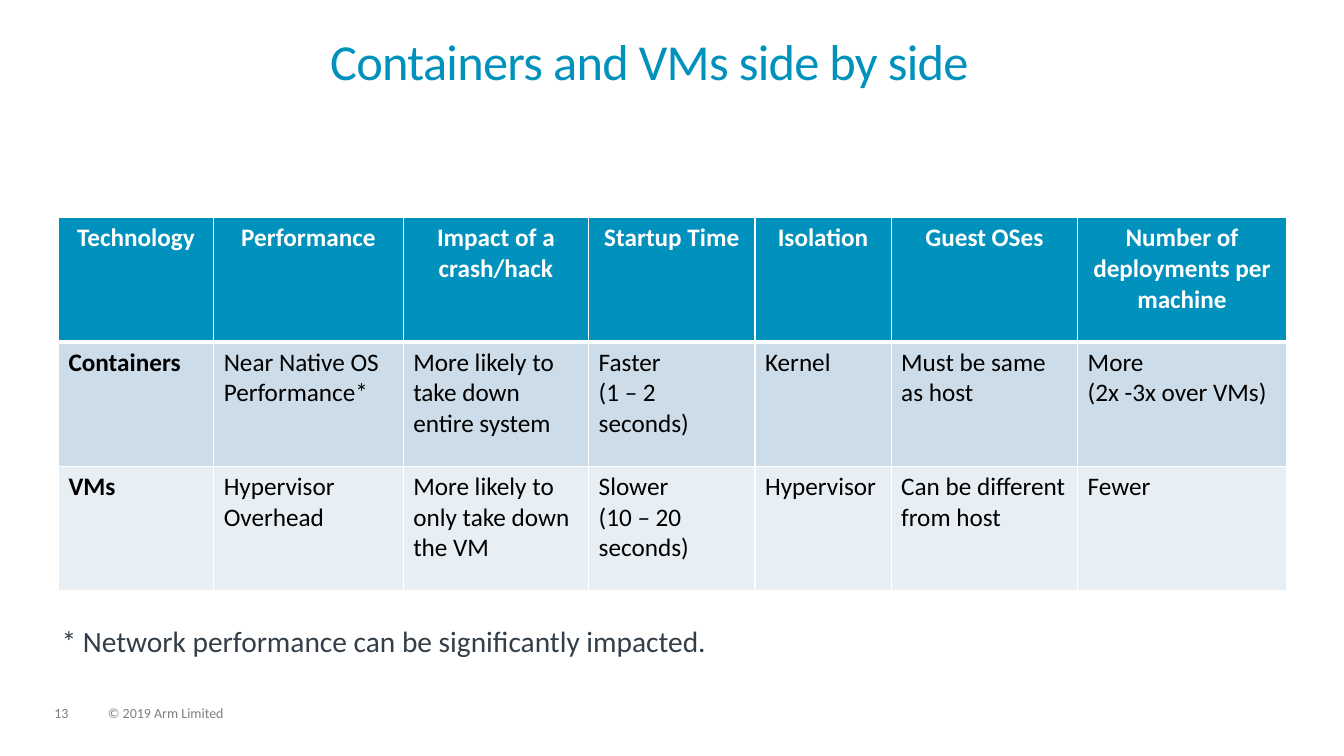
from dataclasses import dataclass

from lxml.etree import SubElement
from pptx import Presentation
from pptx.dml.color import RGBColor as Rgb
from pptx.enum.text import MSO_ANCHOR as Anchor, MSO_AUTO_SIZE as Fit, PP_ALIGN as Align
from pptx.oxml.ns import qn
from pptx.util import Inches, Pt

WIDE, HIGH = Inches(13.33), Inches(7.5)
FACE = "Calibri"
HUES = {
    "blue": "0091BD",
    "white": "FFFFFF",
    "black": "000000",
    "grey": "7F7F7F",
    "slate": "333E48",
    "band": "CCDCE8",
    "pale": "E7EEF4",
}
COLS = [11.55, 14.1, 13.8, 12.38, 10.13, 13.88, 15.53]
ROW = 16.45
CELLS = [
    ["Technology", "Performance", "Impact of a crash/hack", "Startup Time",
     "Isolation", "Guest OSes", "Number of deployments per machine"],
    ["Containers", "Near Native OS Performance*",
     "More likely to take down entire system", "Faster\n(1 – 2 seconds)",
     "Kernel", "Must be same as host", "More\n(2x -3x over VMs)"],
    ["VMs", "Hypervisor Overhead", "More likely to only take down the VM",
     "Slower\n(10 – 20 seconds)", "Hypervisor", "Can be different from host", "Fewer"],
]
FILLS = ["blue", "band", "pale"]


@dataclass
class Box:
    left: float
    top: float
    width: float
    height: float

    def place(self) -> tuple[int, int, int, int]:
        return (across(self.left), down(self.top), across(self.width), down(self.height))


@dataclass
class Label:
    text: str
    box: Box
    size: float
    hue: str
    wrap: bool = True


TITLE = Label("Containers and VMs side by side", Box(6.75, 5.2, 83.12, 8.13), 36, "blue")
LABELS = [
    Label("13", Box(4.05, 93.47, 2.55, 2), 10, "grey"),
    Label("© 2019 Arm Limited", Box(8.03, 93.47, 12.83, 2), 10, "grey"),
    Label("* Network performance can be significantly impacted.",
          Box(4.58, 82.93, 48.91, 4.27), 21, "slate", False),
]
GRID = Box(4.35, 28.8, sum(COLS), ROW * len(CELLS))


def across(share: float) -> int:
    return round(WIDE * share / 100)


def down(share: float) -> int:
    return round(HIGH * share / 100)


def add_run(para, text: str, size: float, hue: str, bold: bool = False):
    run = para.add_run()
    run.text = text
    font = run.font
    font.name, font.size, font.bold = FACE, Pt(size), bold
    font.color.rgb = Rgb.from_string(HUES[hue])
    return run


def set_frame(frame, wrap: bool, fit: Fit) -> None:
    frame.margin_left = frame.margin_right = frame.margin_top = frame.margin_bottom = 0
    frame.vertical_anchor = Anchor.TOP
    frame.word_wrap = wrap
    frame.auto_size = fit


def draw_title(slide) -> None:
    shape = slide.shapes.title
    shape.left, shape.top, shape.width, shape.height = TITLE.box.place()
    set_frame(shape.text_frame, True, Fit.NONE)
    para = shape.text_frame.paragraphs[0]
    para.alignment, para.line_spacing = Align.CENTER, 0.85
    run = add_run(para, TITLE.text, TITLE.size, TITLE.hue)
    run.font._element.set("spc", "-50")


def draw_label(slide, label: Label) -> None:
    frame = slide.shapes.add_textbox(*label.box.place()).text_frame
    set_frame(frame, label.wrap, Fit.SHAPE_TO_FIT_TEXT)
    para = frame.paragraphs[0]
    para.line_spacing, para.space_after = 0.9, Pt(6)
    add_run(para, label.text, label.size, label.hue)


def add_edges(cell, top: float, base: float) -> None:
    props = cell._tc.get_or_add_tcPr()
    widths = {"lnL": 1, "lnR": 1, "lnT": top, "lnB": base}
    for spot, (tag, width) in enumerate(widths.items()):
        line = SubElement(props, qn(f"a:{tag}"), w=str(Pt(width)))
        fill = SubElement(line, qn("a:solidFill"))
        SubElement(fill, qn("a:srgbClr"), val=HUES["white"])
        props.insert(spot, line)


def fill_cell(cell, text: str, row: int, col: int) -> None:
    head = row == 0
    cell.fill.solid()
    cell.fill.fore_color.rgb = Rgb.from_string(HUES[FILLS[row]])
    add_edges(cell, 3 if row == 1 else 1, 3 if head else 1)
    frame = cell.text_frame
    for spot, part in enumerate(text.split("\n")):
        para = frame.add_paragraph() if spot else frame.paragraphs[0]
        para.alignment = Align.CENTER if head else Align.LEFT
        add_run(para, part, 18, "white" if head else "black", head or col == 0)


def draw_table(slide) -> None:
    table = slide.shapes.add_table(len(CELLS), len(COLS), *GRID.place()).table
    table.horz_banding = False
    for col, share in zip(table.columns, COLS):
        col.width = across(share)
    for row, texts in enumerate(CELLS):
        table.rows[row].height = down(ROW)
        for col, text in enumerate(texts):
            fill_cell(table.cell(row, col), text, row, col)


def main() -> None:
    deck = Presentation()
    deck.slide_width, deck.slide_height = WIDE, HIGH
    slide = deck.slides.add_slide(deck.slide_layouts[5])
    draw_title(slide)
    draw_table(slide)
    for label in LABELS:
        draw_label(slide, label)
    deck.save("out.pptx")


if __name__ == "__main__":
    main()
